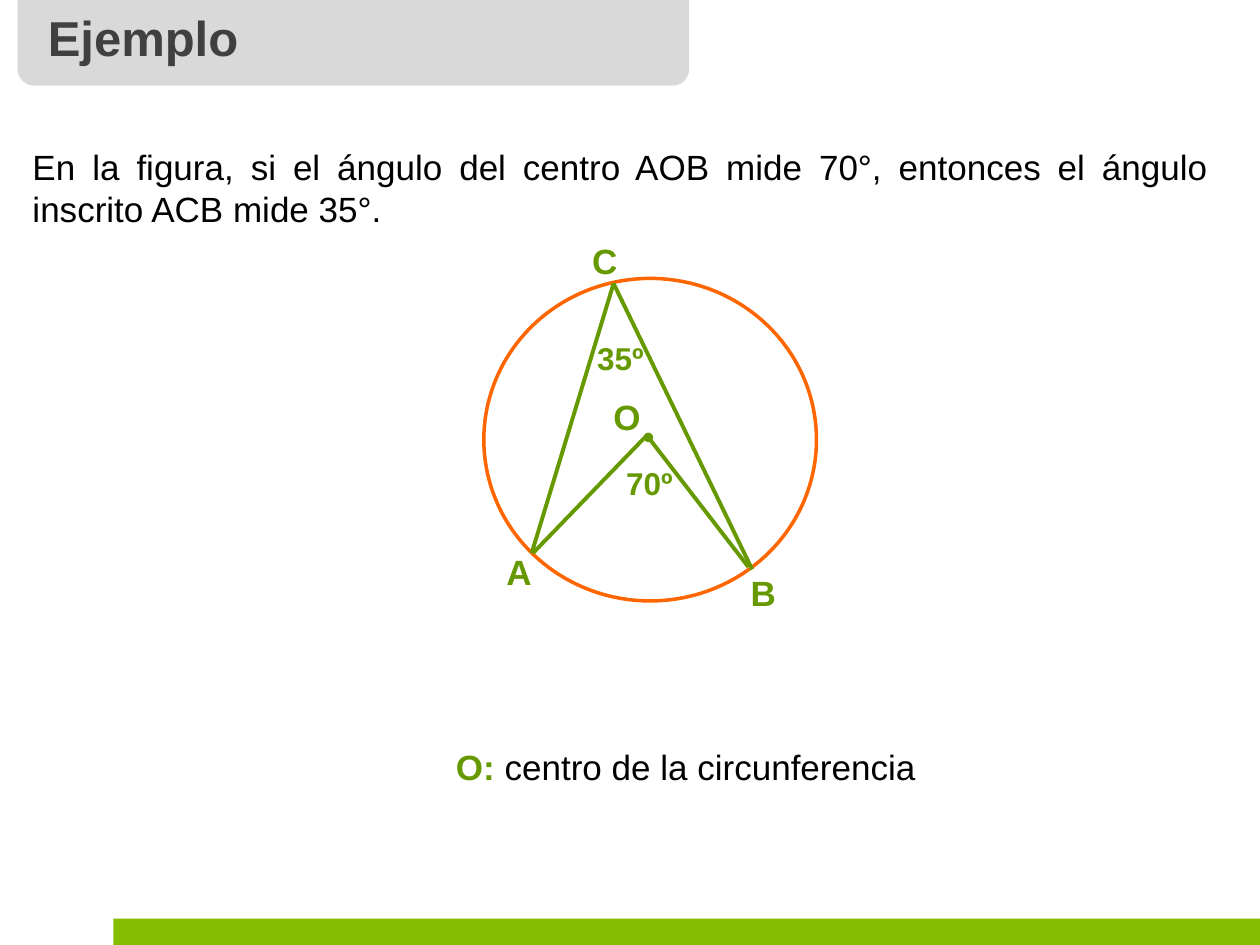
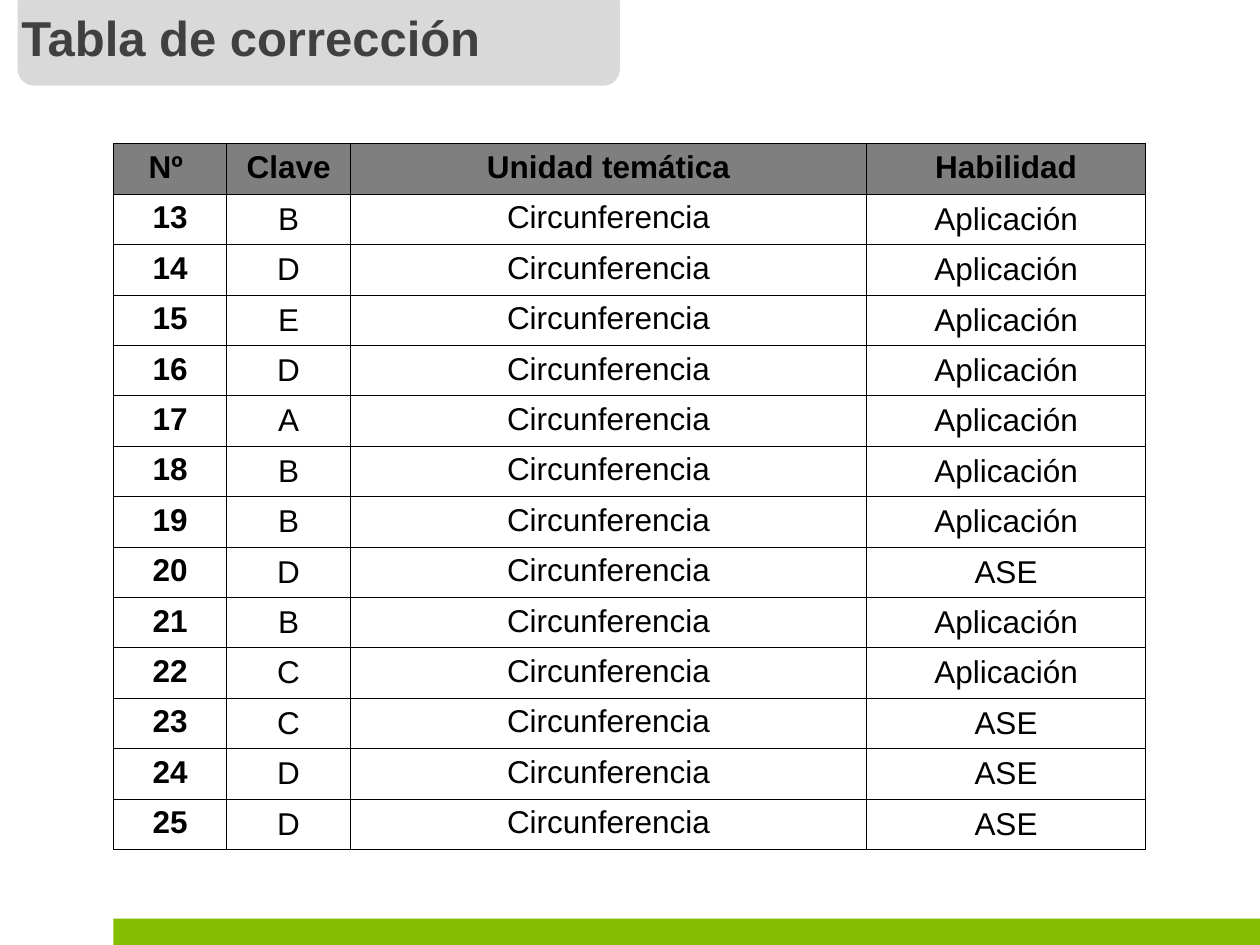
from lxml import etree
from pptx import Presentation
from pptx.dml.color import RGBColor
from pptx.enum.shapes import MSO_CONNECTOR, MSO_SHAPE
from pptx.enum.text import MSO_ANCHOR, MSO_AUTO_SIZE, PP_ALIGN
from pptx.oxml.ns import qn
from pptx.util import Inches, Pt

FONT = "Arial"
BLACK = RGBColor(0, 0, 0)
DARK = RGBColor(0x40, 0x40, 0x40)
GREY = RGBColor(0x7F, 0x7F, 0x7F)
PALE = RGBColor(0xD9, 0xD9, 0xD9)
LIME = RGBColor(0x84, 0xBD, 0x00)
GREEN = RGBColor(0x66, 0x99, 0x00)
ORANGE = RGBColor(0xFF, 0x66, 0x00)

RECT, ROUND, OVAL = MSO_SHAPE.RECTANGLE, MSO_SHAPE.ROUNDED_RECTANGLE, MSO_SHAPE.OVAL
STRAIGHT = MSO_CONNECTOR.STRAIGHT
TOP, MIDDLE = MSO_ANCHOR.TOP, MSO_ANCHOR.MIDDLE
LEFT, CENTER, JUSTIFY = PP_ALIGN.LEFT, PP_ALIGN.CENTER, PP_ALIGN.JUSTIFY


def style(frame, size, color, bold=False, align=LEFT):
    """Format the only paragraph of a text frame and its runs."""
    frame.word_wrap = True
    para = frame.paragraphs[0]
    para.alignment = align
    for run in para.runs:
        font = run.font
        font.name, font.size, font.bold = FONT, Pt(size), bold
        font.color.rgb = color


def write(slide, text, box, size, color, bold=False, align=LEFT):
    """Add a text box and return its frame."""
    frame = slide.shapes.add_textbox(*map(Inches, box)).text_frame
    frame.text = text
    style(frame, size, color, bold, align)
    return frame


prs = Presentation()
prs.slide_width, prs.slide_height = Inches(10), Inches(7.5)

# Shared frame: footer band, grey tab and title
slides = []
for text, left, width in (("Ejemplo", 0.28, 5.33), ("Tabla de corrección", 0.07, 4.78)):
    slide = prs.slides.add_slide(prs.slide_layouts[5])
    slides.append(slide)
    for kind, box, color in (
        (RECT, (0.9, 7.29, 9.1, 0.21), LIME),
        (ROUND, (0.14, -0.11, width, 0.79), PALE),
    ):
        shape = slide.shapes.add_shape(kind, *map(Inches, box))
        shape.shadow.inherit = False
        shape.fill.solid()
        shape.fill.fore_color.rgb = color
        shape.line.fill.background()
    title = slide.shapes.title
    title.left, title.top = Inches(left), Inches(0.01)
    title.width, title.height = Inches(4.5), Inches(0.57)
    frame = title.text_frame
    frame.text = text
    frame.auto_size = MSO_AUTO_SIZE.NONE
    frame.vertical_anchor = TOP
    style(frame, 28, DARK, True)
    title._element.getparent().append(title._element)  # title above its tab

# Slide 1: inscribed and central angles
slide = slides[0]
frame = write(
    slide,
    "En la figura, si el ángulo del centro AOB mide 70°, "
    "entonces el ángulo inscrito ACB mide 35°.",
    (0.16, 1.1, 9.53, 0.77), 20, BLACK, align=JUSTIFY,
)
frame.vertical_anchor = MIDDLE

circle = slide.shapes.add_shape(OVAL, *map(Inches, (3.84, 2.21, 2.64, 2.56)))
circle.shadow.inherit = False
circle.fill.background()
circle.line.color.rgb = ORANGE
circle.line.width = Pt(2)

for ends in (
    (5.97, 4.52, 4.87, 2.25),
    (4.22, 4.39, 4.87, 2.25),
    (5.94, 4.5, 5.16, 3.49),
    (4.23, 4.39, 5.12, 3.47),
):
    side = slide.shapes.add_connector(STRAIGHT, *map(Inches, ends))
    side.line.color.rgb = GREEN
    side.line.width = Pt(2.25)
    etree.SubElement(side._element.spPr, qn("a:effectLst"))

for text, left, top, width, size in (
    ("A", 3.92, 4.32, 0.45, 20),
    ("B", 5.86, 4.49, 0.45, 20),
    ("C", 4.6, 1.85, 0.45, 20),
    ("O", 4.77, 3.09, 0.45, 20),
    ("•", 5, 3.24, 0.35, 20),
    ("35º", 4.64, 2.64, 0.94, 18),
    ("70º", 4.87, 3.63, 0.72, 18),
):
    write(slide, text, (left, top, width, 0.44), size, GREEN, text != "•")

frame = write(slide, "O: ", (3.52, 5.86, 4, 0.44), 20, GREEN, True)
frame.vertical_anchor = MIDDLE
run = frame.paragraphs[0].add_run()
run.text = "centro de la circunferencia"
run.font.name, run.font.size = FONT, Pt(20)
run.font.color.rgb = BLACK

# Slide 2: answer key
KEYS = "BDEDABBDBCCDD"
FIRST = 13
ASE = (20, 23, 24, 25)
rows = [("Nº ", "Clave", "Unidad temática", "Habilidad")]
for num, key in enumerate(KEYS, FIRST):
    skill = "ASE" if num in ASE else "Aplicación"
    rows.append((str(num), key, "Circunferencia", skill))

widths = (0.9, 0.98, 4.1, 2.21)
height = 0.4
table = slides[1].shapes.add_table(
    len(rows), len(widths), Inches(0.9), Inches(1.14),
    Inches(sum(widths)), Inches(height * len(rows)),
).table
table.first_row = table.horz_banding = False
for col, width in zip(table.columns, widths):
    col.width = Inches(width)

for r, row in enumerate(rows):
    table.rows[r].height = Inches(height)
    for c, text in enumerate(row):
        cell = table.cell(r, c)
        cell.text = text
        cell.vertical_anchor = MIDDLE if r and c in (1, 3) else TOP
        style(cell.text_frame, 18, BLACK, r == 0 or c == 0, CENTER)
        props = cell._tc.get_or_add_tcPr()
        for edge in ("a:lnL", "a:lnR", "a:lnT", "a:lnB"):
            line = etree.SubElement(props, qn(edge), w=str(Pt(0.45)))
            fill = etree.SubElement(line, qn("a:solidFill"))
            etree.SubElement(fill, qn("a:srgbClr"), val=str(BLACK))
        if r == 0:
            cell.fill.solid()
            cell.fill.fore_color.rgb = GREY
        else:
            cell.fill.background()

prs.save("out.pptx")
